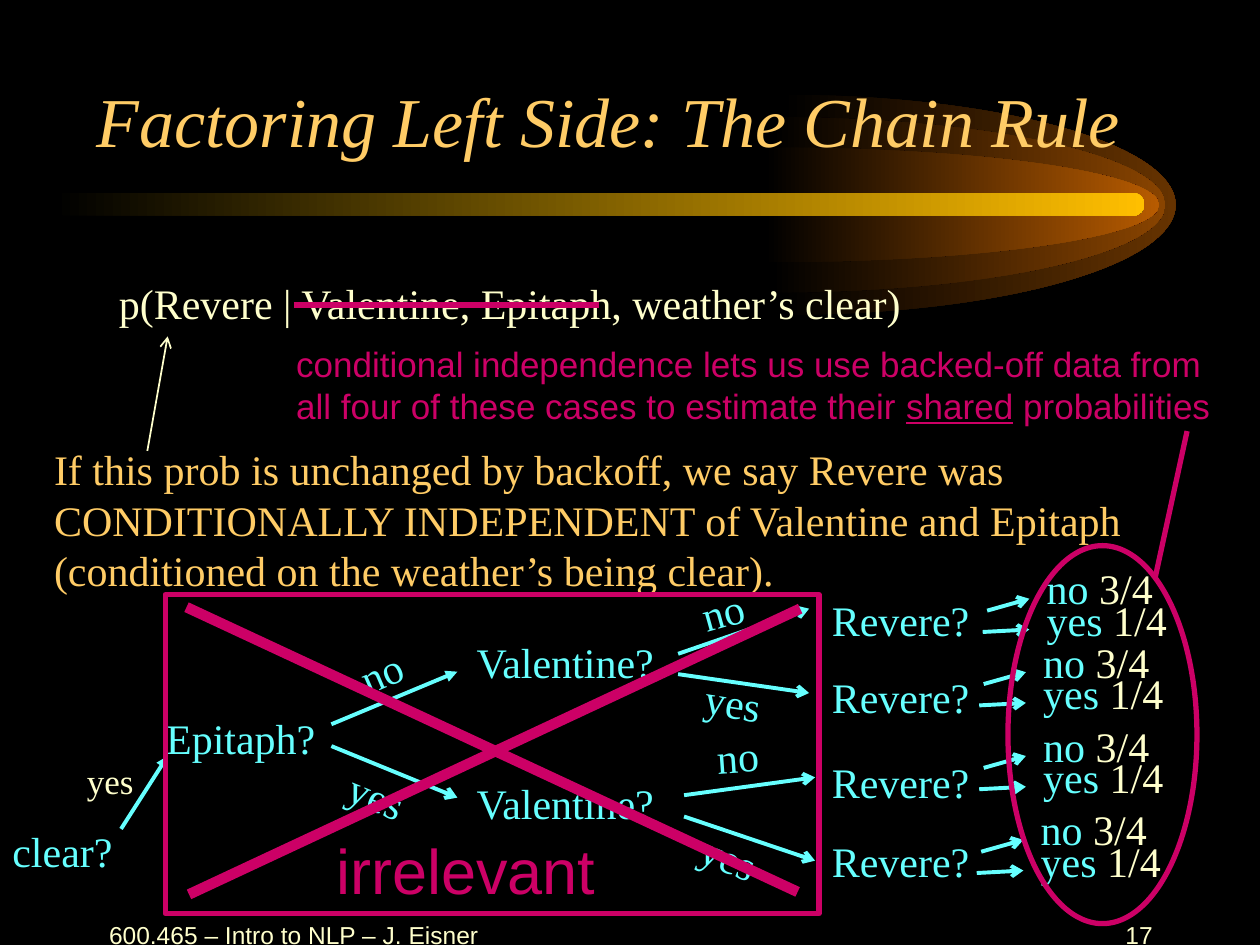
from dataclasses import dataclass
from typing import NamedTuple

from lxml import etree
from pptx import Presentation
from pptx.dml.color import RGBColor
from pptx.enum.shapes import MSO_CONNECTOR, MSO_SHAPE
from pptx.enum.text import MSO_ANCHOR, MSO_AUTO_SIZE, PP_ALIGN
from pptx.oxml.ns import qn
from pptx.util import Cm, Pt

STRAIGHT = MSO_CONNECTOR.STRAIGHT
RECT, OVAL, ROUND = MSO_SHAPE.RECTANGLE, MSO_SHAPE.OVAL, MSO_SHAPE.ROUNDED_RECTANGLE
LEFT, CENTER, RIGHT = PP_ALIGN.LEFT, PP_ALIGN.CENTER, PP_ALIGN.RIGHT
TOP, MIDDLE, BOTTOM = MSO_ANCHOR.TOP, MSO_ANCHOR.MIDDLE, MSO_ANCHOR.BOTTOM
FIT, FIXED = MSO_AUTO_SIZE.SHAPE_TO_FIT_TEXT, MSO_AUTO_SIZE.NONE


@dataclass(frozen=True)
class Theme:
    black: str = "000000"
    cream: str = "FFFFCC"
    gold: str = "FFCC66"
    cyan: str = "66FFFF"
    magenta: str = "CC0066"
    bar: str = "FFBF00"
    serif: str = "Times New Roman"
    sans: str = "Arial"
    title: int = 40
    stamp: int = 36
    body: int = 24
    note: int = 20
    footer: int = 14


T = Theme()


class Box(NamedTuple):
    x: float
    y: float
    w: float
    h: float = 1.27


class Run(NamedTuple):
    text: str
    color: str = T.cyan
    size: int = T.body
    font: str = T.serif
    underline: bool = False
    italic: bool = False


class Glow(NamedTuple):
    cx: float
    ry: float
    color: str


class Branch(NamedTuple):
    """An arrow of the tree, with its label centred at (lx, ly)."""
    start: tuple
    end: tuple
    head: str
    label: str
    lx: float
    ly: float
    angle: float


class Outcome(NamedTuple):
    x: float
    y: float


GLOWS = [Glow(15.75, 2.22, "663300"), Glow(15.54, 1.77, "894400"), Glow(15.42, 1.16, "B75B00")]
REVERE_TOPS = [11.86, 13.42, 15.12, 16.71]
BRANCHES = [
    Branch((6.68, 14.6), (9.22, 13.54), "triangle", "no", 7.68, 13.54, -23.3),
    Branch((6.68, 15.04), (9.22, 16.08), "arrow", "yes", 7.6, 16.05, 22.4),
    Branch((13.67, 13.18), (16.31, 12.27), "arrow", "no", 14.57, 12.32, -15.6),
    Branch((13.67, 13.59), (16.31, 13.97), "arrow", "yes", 14.78, 14.15, 9.2),
    Branch((13.79, 16.03), (16.43, 15.67), "arrow", "no", 14.87, 15.24, -4),
    Branch((13.79, 16.46), (16.43, 17.35), "arrow", "yes", 14.7, 17.27, 22.4),
]
OUTCOMES = [Outcome(20.85, 11.22), Outcome(20.78, 12.7), Outcome(20.78, 14.39), Outcome(20.73, 16.08)]


def rgb(color: str) -> RGBColor:
    return RGBColor.from_string(color)


def write(shape, runs: list[Run], align=LEFT, anchor=TOP, wrap=True, fit=FIXED) -> None:
    tf = shape.text_frame
    tf.word_wrap, tf.auto_size, tf.vertical_anchor = wrap, fit, anchor
    p = tf.paragraphs[0]
    p.alignment = align
    for run in runs:
        r = p.add_run()
        r.text = run.text
        r.font.name, r.font.size = run.font, Pt(run.size)
        r.font.color.rgb = rgb(run.color)
        r.font.underline, r.font.italic = run.underline, run.italic


def add_text(s, box: Box, *runs: Run, align=LEFT, anchor=TOP, wrap=True, fit=FIT):
    tb = s.shapes.add_textbox(*map(Cm, box))
    write(tb, list(runs), align, anchor, wrap, fit)
    return tb


def add_label(s, box: Box, *runs: Run, align=LEFT, angle=0.0) -> None:
    """Add one line of text with spare room on the right, so that it never breaks."""
    tb = add_text(s, box, *runs, align=align, wrap=False, fit=FIXED)
    tb.text_frame.margin_right = 0
    if align == CENTER:
        tb.text_frame.margin_left = 0
    tb.rotation = angle


def fill_placeholder(s, sp, box: Box, run: Run, align, anchor) -> None:
    """Bring the placeholder to the front, then place and fill it."""
    s.shapes.element.append(sp.element)
    sp.left, sp.top, sp.width, sp.height = map(Cm, box)
    write(sp, [run], align, anchor)


def add_line(s, start: tuple, end: tuple, color: str, width: float, head: str = "") -> None:
    line = s.shapes.add_connector(STRAIGHT, *map(Cm, start + end))
    line.line.color.rgb = rgb(color)
    line.line.width = Pt(width)
    if head:
        etree.SubElement(line.line._get_or_add_ln(), qn("a:tailEnd"), type=head)
    etree.SubElement(line.element.spPr, qn("a:effectLst"))


def add_outline(s, kind, box: Box) -> None:
    sp = s.shapes.add_shape(kind, *map(Cm, box))
    sp.shadow.inherit = False
    sp.fill.background()
    sp.line.color.rgb = rgb(T.magenta)
    sp.line.width = Pt(3)


def fade_in(sp, color: str) -> None:
    """Fill from black on the left to the colour on the right."""
    sp.shadow.inherit = False
    sp.line.fill.background()
    sp.fill.gradient()
    sp.fill.gradient_angle = 0
    for stop, c, pos in zip(sp.fill.gradient_stops, (T.black, color), (0, 1)):
        stop.color.rgb = rgb(c)
        stop.position = pos


def add_half_ellipse(s, cx: float, cy: float, rx: float, ry: float):
    """Build a triangle over the right half and bend its two sides into one arc."""
    fb = s.shapes.build_freeform(Cm(cx), Cm(cy - ry))
    fb.add_line_segments([(Cm(cx + rx), Cm(cy)), (Cm(cx), Cm(cy + ry))])
    sp = fb.convert_to_shape()
    sides = list(sp.element.iter(qn("a:lnTo")))
    arc = etree.Element(qn("a:arcTo"), wR=str(Cm(rx)), hR=str(Cm(ry)), stAng="16200000", swAng="10800000")
    sides[0].addprevious(arc)
    for side in sides:
        side.getparent().remove(side)
    return sp


def add_comet(s) -> None:
    for glow in GLOWS:
        fade_in(add_half_ellipse(s, glow.cx, 4.13, 7.95, glow.ry), glow.color)
    bar = s.shapes.add_shape(ROUND, *map(Cm, Box(1.07, 3.89, 22, 0.46)))
    bar.adjustments[0] = 0.5
    fade_in(bar, T.bar)


def add_tree(s) -> None:
    add_label(s, Box(1.5, 15.19, 1.45, 1.12), Run("yes", T.cream, T.note))
    add_label(s, Box(0, 16.51, 2.51), Run("clear?"))
    add_line(s, (2.44, 16.71), (3.38, 15.24), T.cyan, 2.25, "triangle")
    add_label(s, Box(3.1, 14.23, 3.51), Run("Epitaph?"))
    for y in (12.7, 15.54):
        add_label(s, Box(9.36, y, 4.17), Run("Valentine?"))
    for y in REVERE_TOPS:
        add_label(s, Box(16.52, y, 3.28), Run("Revere?"))
    for b in BRANCHES:
        add_line(s, b.start, b.end, T.cyan, 2.25, b.head)
        w, h = 1.6, 1.27
        add_label(s, Box(b.lx - w / 2, b.ly - h / 2, w, h), Run(b.label), align=CENTER, angle=b.angle)
    for x, y in OUTCOMES:
        add_label(s, Box(x, y, 2.64), Run("no"), Run(" 3/4", T.cream))
        add_label(s, Box(x, y + 0.64, 2.92), Run("yes"), Run(" 1/4", T.cream))
        add_line(s, (x - 0.95, y + 1.09), (x - 0.1, y + 0.85), T.cyan, 2.25, "arrow")
        add_line(s, (x - 1.04, y + 1.52), (x - 0.1, y + 1.47), T.cyan, 2.25, "arrow")


def add_remarks(s) -> None:
    """Cross out the irrelevant part and circle the shared probabilities."""
    add_outline(s, RECT, Box(3.33, 11.99, 13.18, 6.43))
    add_line(s, (3.76, 12.24), (16.08, 17.98), T.magenta, 6)
    add_line(s, (16.13, 12.27), (3.81, 18.03), T.magenta, 6)
    add_label(s, Box(6.53, 16.64, 5.72, 1.78), Run("irrelevant", T.magenta, T.stamp, T.sans))
    add_outline(s, OVAL, Box(20.32, 11, 3.81, 7.62))
    note = (T.magenta, T.note, T.sans)
    add_text(s, Box(5.72, 6.78, 19.25, 1.96),
             Run("conditional independence lets us use backed-off data from "
                 "all four of these cases to estimate their ", *note),
             Run("shared", *note, underline=True), Run(" probabilities", *note))
    add_line(s, (23.93, 8.69), (23.29, 11.63), T.magenta, 3)


def main() -> None:
    prs = Presentation()
    prs.slide_width, prs.slide_height = Cm(25.4), Cm(19.05)
    s = prs.slides.add_slide(prs.slide_layouts[1])
    s.background.fill.solid()
    s.background.fill.fore_color.rgb = rgb(T.black)
    add_comet(s)
    footer = (T.cream, T.footer, T.sans)
    add_text(s, Box(1.9, 18.21, 8.05), Run("600.465 – Intro to NLP – J. Eisner", *footer),
             align=CENTER, anchor=MIDDLE, fit=FIXED)
    add_text(s, Box(18.21, 18.21, 5.28), Run("17", *footer), align=RIGHT, anchor=MIDDLE, fit=FIXED)
    body = s.placeholders[1]
    fill_placeholder(s, body, Box(0.84, 4.24, 17.58, 5.72),
                     Run("p(Revere | Valentine, Epitaph, weather’s clear)", T.cream), RIGHT, TOP)
    body.text_frame.margin_top = Cm(1.35)
    p = body.text_frame.paragraphs[0]
    p.space_before = Pt(0)
    pPr = p._p.get_or_add_pPr()
    pPr.set("marL", "0")
    pPr.set("indent", "0")
    etree.SubElement(pPr, qn("a:buNone"))
    fill_placeholder(s, s.shapes.title, Box(1.7, 0.2, 21.59, 3.18),
                     Run("Factoring Left Side: The Chain Rule", T.gold, T.title, italic=True), LEFT, BOTTOM)
    add_line(s, (5.92, 6.15), (12.07, 6.15), T.magenta, 3)
    add_text(s, Box(0.84, 8.82, 23.29, 3.3),
             Run("If this prob is unchanged by backoff, we say Revere was CONDITIONALLY INDEPENDENT "
                 "of Valentine and Epitaph (conditioned on the weather’s being clear).", T.gold))
    add_line(s, (2.97, 9.09), (3.38, 6.78), T.cream, 1, "arrow")
    add_tree(s)
    add_remarks(s)
    prs.save("out.pptx")


if __name__ == "__main__":
    main()
